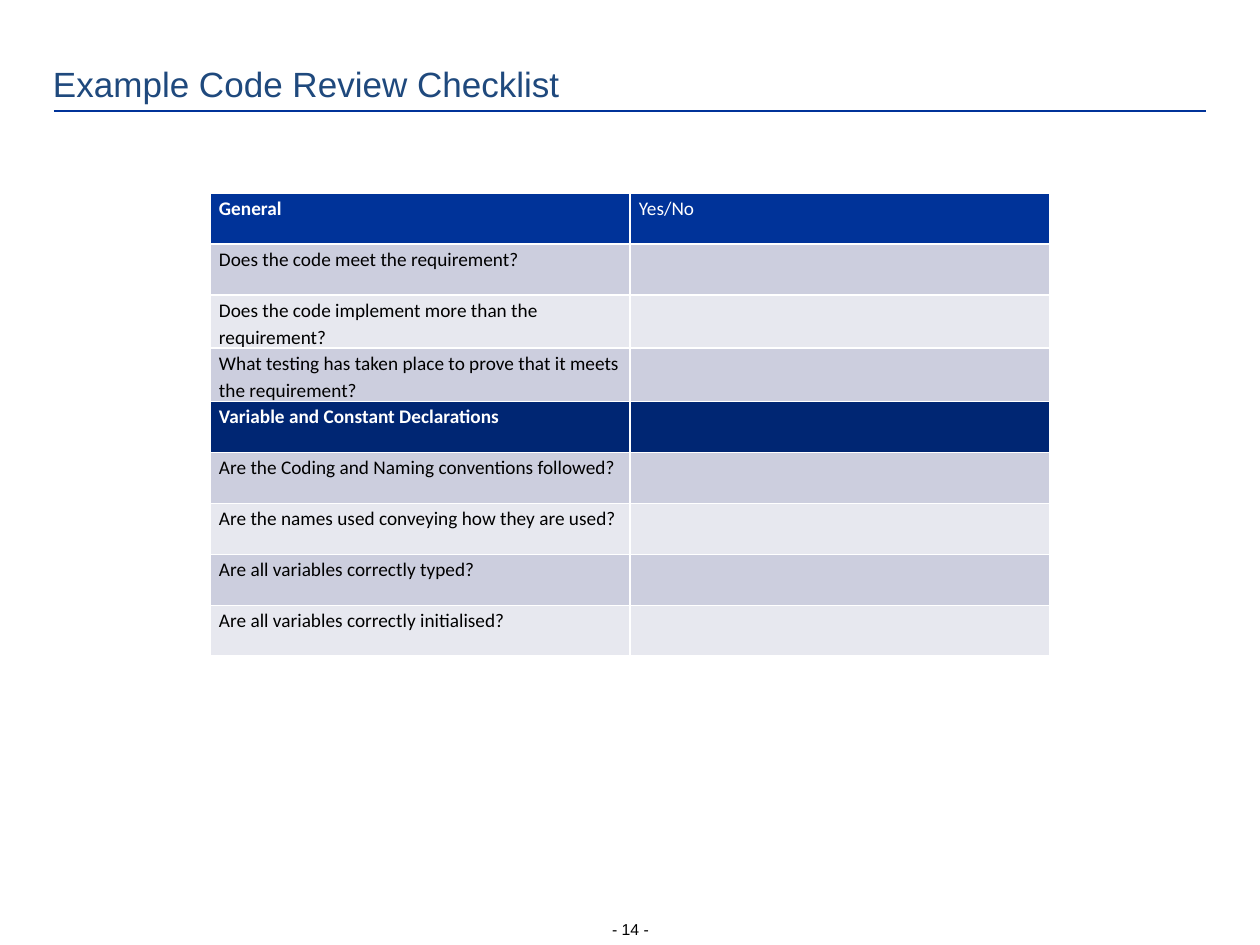
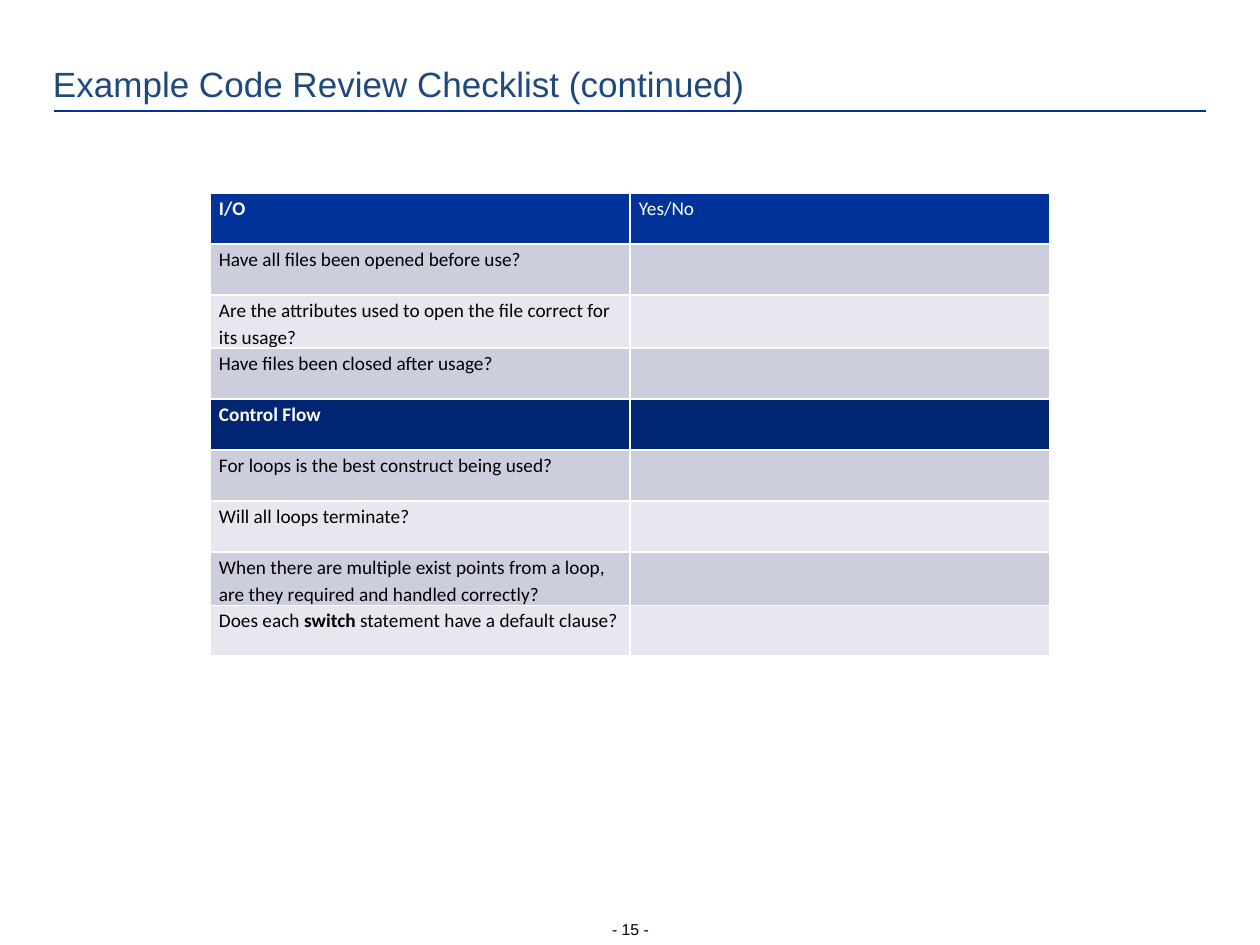
from pptx import Presentation
from pptx import util as u
from pptx.dml.color import RGBColor
from pptx.enum import shapes, text
from pptx.oxml.ns import qn
from lxml import etree

PX = 914400 / 126
NAVY, DARK, BAND, PALE = "003399", "002673", "CCCEDE", "E7E8EF"
TITLE = dict(name="Arial", size=u.Pt(20), color="1F497D")
FOOT = dict(name="Arial", size=u.Pt(9), color="000000")
CELL = dict(name="Calibri", size=u.Pt(11))
FLAT = dict(margin_left=0, margin_top=0, margin_right=0, margin_bottom=0,
            vertical_anchor=text.MSO_ANCHOR.BOTTOM,
            auto_size=text.MSO_AUTO_SIZE.SHAPE_TO_FIT_TEXT)
PAD = dict(margin_left=round(9 * PX), margin_top=0,
           margin_right=round(9 * PX), margin_bottom=0)


def box(*nums):
    return [u.Emu(round(n * PX)) for n in nums]


def write(par, words, form, space, align=text.PP_ALIGN.LEFT):
    par.line_spacing, par.alignment = space, align
    for i, part in enumerate(words.split("*")):
        run = par.add_run()
        run.text = part
        for key, val in form.items():
            if key == "color":
                run.font.color.rgb = RGBColor.from_string(val)
            else:
                setattr(run.font, key, val)
        if i % 2:
            run.font.bold = True


pages = [
    (14, "Example Code Review Checklist", [
        ("General", [
            "Does the code meet the requirement?",
            "Does the code implement more than the requirement?",
            "What testing has taken place to prove that it meets the requirement?"]),
        ("Variable and Constant Declarations", [
            "Are the Coding and Naming conventions followed?",
            "Are the names used conveying how they are used?",
            "Are all variables correctly typed?",
            "Are all variables correctly initialised?"])]),
    (15, "Example Code Review Checklist (continued)", [
        ("I/O", [
            "Have all files been opened before use?",
            "Are the attributes used to open the file correct for its usage?",
            "Have files been closed after usage?"]),
        ("Control Flow", [
            "For loops is the best construct being used?",
            "Will all loops terminate?",
            "When there are multiple exist points from a loop, "
            "are they required and handled correctly?",
            "Does each *switch* statement have a default clause?"])]),
]

prs = Presentation()
prs.slide_width, prs.slide_height = box(1260, 945)

for num, head, parts in pages:
    slide = prs.slides.add_slide(prs.slide_layouts[5])
    title = slide.shapes.title
    title.left, title.top, title.width, title.height = box(53, 60, 1092, 45)
    foot = slide.shapes.add_textbox(*box(611, 919, 39, 20))
    for shape, wrap in ((title, True), (foot, False)):
        for key, val in FLAT.items():
            setattr(shape.text_frame, key, val)
        shape.text_frame.word_wrap = wrap
    write(title.text_frame.paragraphs[0], head, TITLE, 1.06)
    write(foot.text_frame.paragraphs[0], f"- {num} -", FOOT, 1.06,
          text.PP_ALIGN.CENTER)

    rule = slide.shapes.add_connector(shapes.MSO_CONNECTOR.STRAIGHT,
                                      *box(54, 111, 1206, 111))
    rule.line.color.rgb = RGBColor.from_string(NAVY)
    rule.line.width = u.Pt(1.5)
    etree.SubElement(rule._element.spPr, qn("a:effectLst"))

    rows = []
    for i, (name, asks) in enumerate(parts):
        rows.append((name, "" if i else "Yes/No", DARK if i else NAVY, True))
        rows += [(ask, "", PALE if j % 2 else BAND, False)
                 for j, ask in enumerate(asks)]
    grid = slide.shapes.add_table(len(rows), 2,
                                  *box(210, 193, 840, 51 * len(rows))).table
    for r, (ask, reply, fill, top) in enumerate(rows):
        for c, words in enumerate((ask, reply)):
            cell = grid.cell(r, c)
            for key, val in PAD.items():
                setattr(cell, key, val)
            cell.fill.solid()
            cell.fill.fore_color.rgb = RGBColor.from_string(fill)
            if words:
                form = dict(CELL, color="FFFFFF" if top else "000000",
                            bold=top and c == 0)
                write(cell.text_frame.paragraphs[0], words, form, 1.15)

prs.save("out.pptx")
